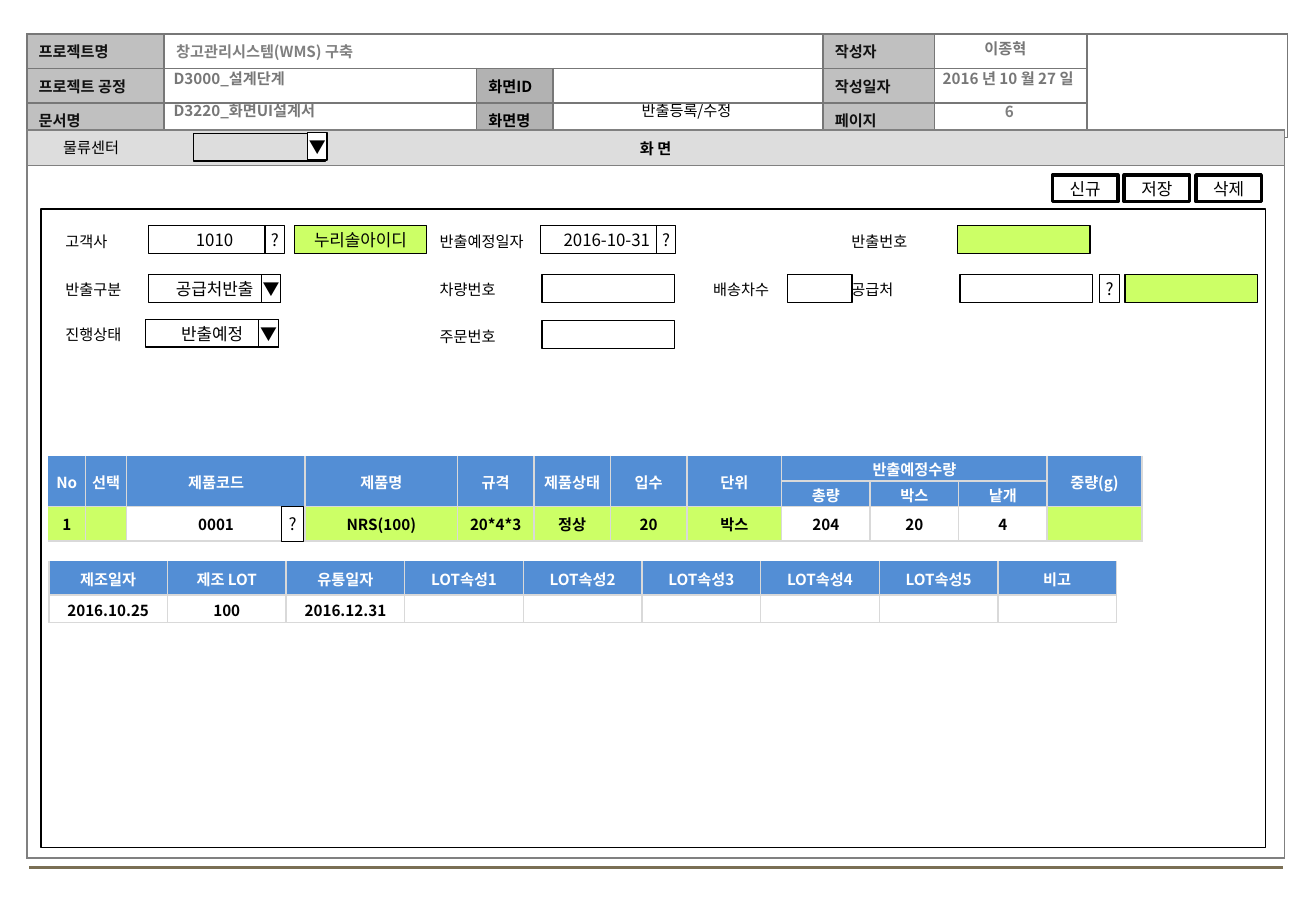
"""Builds the release registration screen of a warehouse management system."""
from dataclasses import dataclass
from typing import Optional

from lxml.etree import SubElement
from pptx import Presentation
from pptx.dml.color import RGBColor
from pptx.enum.shapes import MSO_CONNECTOR as Connector, MSO_SHAPE as Preset
from pptx.enum.text import MSO_ANCHOR as Anchor, MSO_AUTO_SIZE as AutoSize, PP_ALIGN as Align
from pptx.oxml.ns import qn
from pptx.util import Cm, Pt


@dataclass(frozen=True)
class Theme:
    font: str = "Noto Sans CJK KR"
    small: float = 9
    normal: float = 10
    black: str = "000000"
    white: str = "FFFFFF"
    label: str = "111111"
    muted: str = "777777"
    light_muted: str = "808080"
    page: str = "7F7F7F"
    rule: str = "7A6F54"
    label_fill: str = "C0C0C0"
    screen_fill: str = "B2B2B2"
    bar: str = "DDDDDD"
    head: str = "538ED5"
    locked: str = "CCFF66"
    grid: str = "D9D9D9"


THEME = Theme()


@dataclass(frozen=True)
class Caption:
    text: str
    left: float
    top: float
    width: float = 2.41
    color: str = THEME.black
    bold: bool = False
    align: Align = Align.LEFT


@dataclass(frozen=True)
class Field:
    left: float
    top: float
    text: str = ""
    width: float = 2.77
    height: float = 0.58
    fill: Optional[str] = THEME.white
    weight: float = 0.75


@dataclass(frozen=True)
class CellStyle:
    fill: Optional[str] = None
    color: str = THEME.black
    align: Align = Align.CENTER


@dataclass(frozen=True)
class Grid:
    left: float
    top: float
    columns: list[float]
    rows: list[float]
    texts: list[list[str]]
    styles: list[list[CellStyle]]
    border: str
    merges: tuple = ()
    insets: tuple = (0.03, 0.03, 0.03, 0)
    open_sides: str = ""


PLAIN = CellStyle()
HEAD = CellStyle(THEME.head, THEME.white)
LOCKED = CellStyle(THEME.locked)
LABEL = CellStyle(THEME.label_fill, THEME.label, Align.LEFT)
SCREEN = CellStyle(THEME.screen_fill, THEME.black, Align.LEFT)
PROJECT = CellStyle(None, THEME.light_muted, Align.LEFT)

HEADER = Grid(
    0.56, 0.71, [2.87, 6.53, 1.6, 5.64, 2.34, 3.18, 4.19], [0.72] * 3,
    [["프로젝트명", "창고관리시스템(WMS) 구축", "", "", "작성자", "", ""],
     ["프로젝트 공정", "", "화면ID", "", "작성일자", "", ""],
     ["문서명", "", "화면명", "", "페이지", "", ""]],
    [[LABEL, PROJECT, PLAIN, PLAIN, LABEL, PLAIN, PLAIN]]
    + [[LABEL, PLAIN, SCREEN, PLAIN, LABEL, PLAIN, PLAIN]] * 2,
    THEME.muted, ((0, 1, 0, 3), (0, 6, 2, 6)), (0.25, 0.13, 0.25, 0.13))
FRAME = Grid(0.56, 2.72, [26.29], [0.74, 14.48], [["화 면"], [""]],
             [[CellStyle(THEME.bar)], [PLAIN]], THEME.light_muted, (), (0.05, 0, 0.05, 0))
PRODUCTS = Grid(
    1, 9.53, [0.79, 0.86, 3.73, 3.18] + [1.6] * 3 + [1.98] + [1.85] * 3 + [1.98],
    [0.53, 0.53, 0.72],
    [["No", "선택", "제품코드", "제품명", "규격", "제품상태", "입수", "단위",
      "반출예정수량", "", "", "중량(g)"],
     [""] * 8 + ["총량", "박스", "낱개", ""],
     ["1", "", "0001", "NRS(100)", "20*4*3", "정상", "20", "박스", "204", "20", "4", ""]],
    [[HEAD] * 12] * 2 + [[LOCKED] * 2 + [PLAIN] + [LOCKED] * 5 + [PLAIN] * 3 + [LOCKED]],
    THEME.grid, tuple((0, c, 1, c) for c in (*range(8), 11)) + ((0, 8, 0, 10),),
    open_sides="LT")
LOTS = Grid(
    1.02, 11.73, [2.48] * 9, [0.71, 0.58],
    [["제조일자", "제조 LOT", "유통일자"] + [f"LOT속성{n}" for n in range(1, 6)] + ["비고"],
     ["2016.10.25", "100", "2016.12.31"] + [""] * 6],
    [[HEAD] * 9, [PLAIN] * 9], THEME.grid, open_sides="T")

HEADER_VALUES = [
    Caption("D3000_설계단계", 3.38, 1.32, 13.77, THEME.muted, True),
    Caption("D3220_화면UI설계서", 3.38, 1.98, 13.74, THEME.muted, True),
    Caption("이종혁", 19.02, 0.69, 3.99, THEME.muted, True, Align.CENTER),
    Caption("2016 년 10 월 27 일", 19.08, 1.32, 3.99, THEME.muted, True, Align.CENTER),
    Caption("6", 19.51, 2.01, 3.18, THEME.page, True, Align.CENTER),
]
TITLE = Caption("반출등록/수정", 11.58, 1.98, 5.54, align=Align.CENTER)
ROW_1, ROW_2, ROW_3 = 4.72, 5.74, 6.68
FORM_LABELS = [
    Caption("물류센터", 1.07, 2.77, 2.97),
    Caption("고객사", 1.12, ROW_1), Caption("반출예정일자", 8.94, ROW_1),
    Caption("반출번호", 17.55, ROW_1, 2.74),
    Caption("반출구분", 1.12, ROW_2), Caption("차량번호", 8.94, ROW_2),
    Caption("배송차수", 14.66, ROW_2, 1.8), Caption("공급처", 17.55, ROW_2),
    Caption("진행상태", 1.12, ROW_3), Caption("주문번호", 8.94, ROW_3 + 0.03),
]
MARK = 0.41
FIELDS = [
    Field(0.86, 4.37, width=25.6, height=13.36, fill=None),
    Field(4.04, 2.79, fill=None), Field(6.43, 2.77, "▼", MARK),
    Field(3.1, ROW_1, "1010"), Field(5.54, ROW_1, "?", MARK),
    Field(6.15, ROW_1, "누리솔아이디", fill=THEME.locked),
    Field(11.3, ROW_1, "2016-10-31"), Field(13.72, ROW_1, "?", MARK),
    Field(20.02, ROW_1, fill=THEME.locked),
    Field(3.1, ROW_2, "공급처반출"), Field(5.46, ROW_2, "▼", MARK),
    Field(11.33, ROW_2), Field(16.46, ROW_2, width=1.35),
    Field(20.07, ROW_2), Field(22.99, ROW_2, "?", MARK),
    Field(23.52, ROW_2, fill=THEME.locked),
    Field(3.05, ROW_3, "반출예정"), Field(5.41, ROW_3, "▼", MARK),
    Field(11.33, ROW_3 + 0.03),
    Field(5.89, 10.59, "?", 0.46, 0.74),
] + [Field(22 + 1.5 * i, 3.66, action, 1.37, 0.56, weight=2)
     for i, action in enumerate(("신규", "저장", "삭제"))]


def write(frame, text: str, *, size: float = THEME.small, color: str = THEME.black,
          bold: bool = False, align: Align = Align.LEFT) -> None:
    line = frame.paragraphs[0]
    line.alignment = align
    if not text:
        SubElement(line._p, qn("a:endParaRPr"), sz=str(int(size * 100)))
        return
    run = line.add_run()
    run.text = text
    run.font.size, run.font.bold, run.font.name = Pt(size), bold, THEME.font
    run.font.color.rgb = RGBColor.from_string(color)
    SubElement(run._r.get_or_add_rPr(), qn("a:ea"), typeface=THEME.font)


def set_insets(holder, insets: tuple) -> None:
    (holder.margin_left, holder.margin_top,
     holder.margin_right, holder.margin_bottom) = map(Cm, insets)


def fill_caption(box, caption: Caption) -> None:
    frame = box.text_frame
    frame.word_wrap, frame.auto_size = True, AutoSize.NONE
    frame.vertical_anchor = Anchor.TOP
    set_insets(frame, (0.25, 0.13, 0.25, 0.13))
    write(frame, caption.text, color=caption.color, bold=caption.bold, align=caption.align)


def add_caption(slide, caption: Caption) -> None:
    fill_caption(slide.shapes.add_textbox(
        Cm(caption.left), Cm(caption.top), Cm(caption.width), Cm(0.64)), caption)


def add_field(slide, field: Field) -> None:
    box = slide.shapes.add_shape(Preset.RECTANGLE, Cm(field.left), Cm(field.top),
                                 Cm(field.width), Cm(field.height))
    box.shadow.inherit = False
    paint(box, field.fill)
    box.line.color.rgb = RGBColor.from_string(THEME.black)
    box.line.width = Pt(field.weight)
    if field.text:
        frame = box.text_frame
        frame.word_wrap, frame.vertical_anchor = False, Anchor.MIDDLE
        set_insets(frame, (0.05, 0.1, 0.05, 0.1))
        write(frame, field.text, size=THEME.normal, align=Align.CENTER)


def paint(part, color: Optional[str]) -> None:
    if color:
        part.fill.solid()
        part.fill.fore_color.rgb = RGBColor.from_string(color)
    else:
        part.fill.background()


def add_borders(cell, color: str, hidden: str) -> None:
    properties = cell._tc.get_or_add_tcPr()
    for position, side in enumerate("LRTB"):
        edge = properties.makeelement(qn(f"a:ln{side}"), {"w": str(Pt(1))})
        if side in hidden:
            SubElement(edge, qn("a:noFill"))
        else:
            SubElement(SubElement(edge, qn("a:solidFill")), qn("a:srgbClr"), val=color)
        properties.insert(position, edge)


def add_grid(slide, grid: Grid) -> None:
    table = slide.shapes.add_table(
        len(grid.rows), len(grid.columns), Cm(grid.left), Cm(grid.top),
        Cm(sum(grid.columns)), Cm(sum(grid.rows))).table
    table.first_row = table.horz_banding = False
    table._tbl.tblPr.find(qn("a:tableStyleId")).text = "{2D5ABB26-0587-4C30-8999-92F81FD0307C}"
    for column, width in zip(table.columns, grid.columns):
        column.width = Cm(width)
    for r, height in enumerate(grid.rows):
        table.rows[r].height = Cm(height)
        for c, (text, style) in enumerate(zip(grid.texts[r], grid.styles[r])):
            cell = table.cell(r, c)
            cell.vertical_anchor = Anchor.MIDDLE
            set_insets(cell, grid.insets)
            paint(cell, style.fill)
            outer = ("L" if c == 0 else "") + ("T" if r == 0 else "")
            add_borders(cell, grid.border, "".join(set(outer) & set(grid.open_sides)))
            write(cell.text_frame, text, color=style.color, bold=True, align=style.align)
    for top, left, bottom, right in grid.merges:
        table.cell(top, left).merge(table.cell(bottom, right))


def add_rule(slide) -> None:
    rule = slide.shapes.add_connector(Connector.STRAIGHT, Cm(0.61), Cm(18.14), Cm(26.82), Cm(18.14))
    rule.line.color.rgb = RGBColor.from_string(THEME.rule)
    rule.line.width = Pt(1.75)
    SubElement(rule._element.spPr, qn("a:effectLst"))


def main() -> None:
    deck = Presentation()
    deck.slide_width, deck.slide_height = Cm(27.51), Cm(19.05)
    slide = deck.slides.add_slide(deck.slide_layouts[5])
    title = slide.shapes.title
    title.left, title.top, title.width, title.height = map(
        Cm, (TITLE.left, TITLE.top, TITLE.width, 0.64))
    fill_caption(title, TITLE)
    add_rule(slide)
    for grid in (HEADER, FRAME, PRODUCTS, LOTS):
        add_grid(slide, grid)
    for field in FIELDS:
        add_field(slide, field)
    for caption in HEADER_VALUES + FORM_LABELS:
        add_caption(slide, caption)
    deck.save("out.pptx")


if __name__ == "__main__":
    main()
